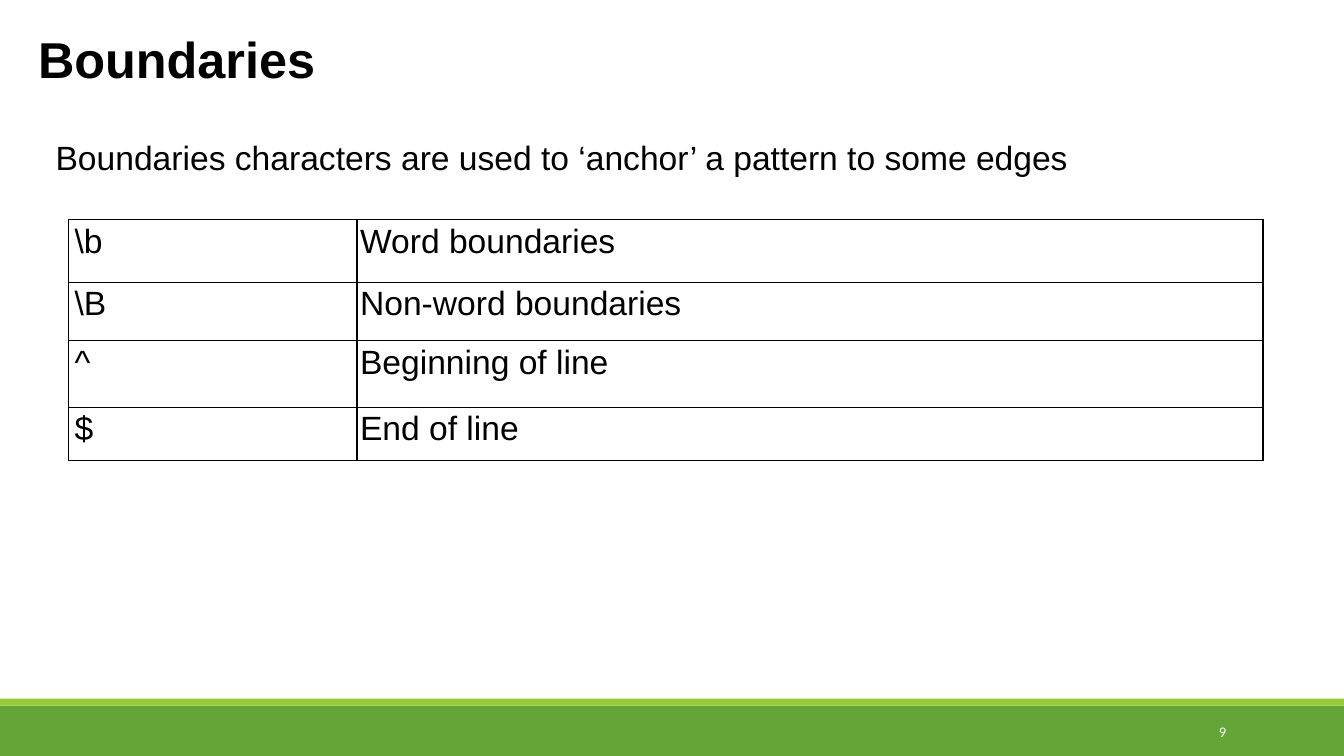
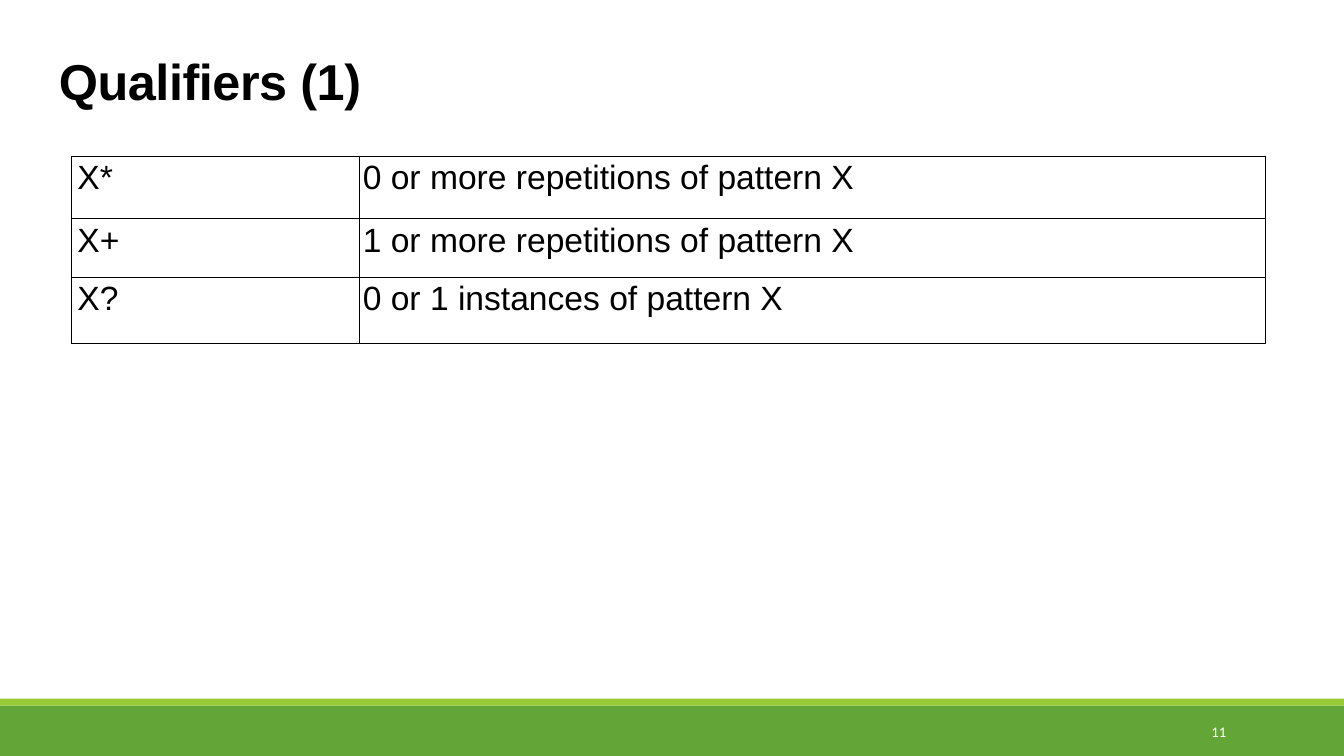
from dataclasses import dataclass

from lxml.etree import SubElement
from pptx import Presentation
from pptx.dml.color import RGBColor
from pptx.enum.shapes import MSO_SHAPE
from pptx.enum.text import MSO_ANCHOR, MSO_AUTO_SIZE, PP_ALIGN
from pptx.oxml.ns import qn
from pptx.util import Pt

COLORS = {"text": "000000", "footer": "63A537", "accent": "99CB38", "number": "FFFFFF"}
PAGE_WIDTH, PAGE_HEIGHT = 960, 540
COLUMN_WIDTHS = (206, 647.2)
ROW_HEIGHTS = (44.6, 41.8, 47.5, 38.2)
CELL_MARGIN = 2.2
FIRST_CELL_MARGIN = 4.3


@dataclass(frozen=True)
class Frame:
    left: float
    top: float
    width: float
    height: float

    def lengths(self) -> tuple:
        return Pt(self.left), Pt(self.top), Pt(self.width), Pt(self.height)


@dataclass(frozen=True)
class Style:
    size: float
    font: str = "Arial"
    color: str = "text"
    bold: bool = False
    tracking: int = 0


@dataclass(frozen=True)
class Band:
    frame: Frame
    color: str


@dataclass(frozen=True)
class Block:
    text: str
    frame: Frame
    style: Style
    margins: tuple[float, float, float, float]


@dataclass(frozen=True)
class Page:
    number: str
    title: Block
    table_left: float
    table_top: float
    rows: tuple[tuple[str, str], ...]
    body: Block | None = None


TITLE = Style(36, bold=True)
TIGHT_TITLE = Style(36, bold=True, tracking=-30)
TEXT = Style(24)
NUMBER = Style(10.5, "Calibri", "number")
NUMBER_FRAME = Frame(780, 508.3, 103, 28.8)
TITLE_ONLY, TITLE_AND_BODY = 5, 1

BANDS = (
    Band(Frame(0, 504, PAGE_WIDTH, 36), "footer"),
    Band(Frame(0, 499, PAGE_WIDTH, 5), "accent"),
)

PAGES = (
    Page(
        "9",
        Block("Boundaries", Frame(20, 13, 911, 51), TITLE, (7.2, 7.2, 7.2, 3.6)),
        49,
        157,
        (
            ("\\b", "Word boundaries"),
            ("\\B", "Non-word boundaries"),
            ("^", "Beginning of line"),
            ("$", "End of line"),
        ),
        Block(
            "Boundaries characters are used to ‘anchor’ a pattern to some edges",
            Frame(32.5, 92, 911, 36),
            TEXT,
            (7.2, 6, 7.2, 3.6),
        ),
    ),
    Page(
        "11",
        Block("Qualifiers (1)", Frame(42, 32.4, 885.6, 44), TIGHT_TITLE, (0, 3.6, 0, 0)),
        51,
        111.6,
        (
            ("X*", "0 or more repetitions of pattern X"),
            ("X+", "1 or more repetitions of pattern X"),
            ("X?", "0 or 1 instances of pattern X"),
        ),
    ),
)


def rgb(name: str) -> RGBColor:
    return RGBColor.from_string(COLORS[name])


def write(para, text: str, style: Style, align=PP_ALIGN.LEFT) -> None:
    para.alignment = align
    para.space_before = Pt(0)
    span = para.add_run()
    span.text = text
    span.font.size = Pt(style.size)
    span.font.name = style.font
    span.font.bold = style.bold
    span.font.color.rgb = rgb(style.color)
    if style.tracking:
        span.font._element.set("spc", str(style.tracking))


def fill_placeholder(box, block: Block) -> None:
    box.left, box.top, box.width, box.height = block.frame.lengths()
    frame = box.text_frame
    frame.word_wrap = True
    frame.auto_size = MSO_AUTO_SIZE.NONE
    frame.vertical_anchor = MSO_ANCHOR.TOP
    left, top, right, bottom = block.margins
    frame.margin_left, frame.margin_top = Pt(left), Pt(top)
    frame.margin_right, frame.margin_bottom = Pt(right), Pt(bottom)
    para = frame.paragraphs[0]
    write(para, block.text, block.style)
    properties = para._p.get_or_add_pPr()
    properties.set("marL", "0")
    properties.set("indent", "0")
    SubElement(properties, qn("a:buNone"))


def add_number(slide, number: str) -> None:
    box = slide.shapes.add_textbox(*NUMBER_FRAME.lengths())
    box.text_frame.word_wrap = True
    box.text_frame.vertical_anchor = MSO_ANCHOR.MIDDLE
    write(box.text_frame.paragraphs[0], number, NUMBER, PP_ALIGN.RIGHT)


def format_cell(cell, text: str, left_margin: float) -> None:
    cell.margin_left = Pt(left_margin)
    cell.margin_top = cell.margin_right = cell.margin_bottom = Pt(CELL_MARGIN)
    properties = cell._tc.get_or_add_tcPr()
    for side in ("lnL", "lnR", "lnT", "lnB"):
        line = SubElement(properties, qn(f"a:{side}"), w=str(Pt(1)))
        solid = SubElement(line, qn("a:solidFill"))
        SubElement(solid, qn("a:srgbClr"), val=COLORS["text"])
    cell.fill.background()
    write(cell.text_frame.paragraphs[0], text, TEXT)


def add_pattern_table(slide, page: Page) -> None:
    heights = ROW_HEIGHTS[: len(page.rows)]
    frame = Frame(page.table_left, page.table_top, sum(COLUMN_WIDTHS), sum(heights))
    table = slide.shapes.add_table(
        len(page.rows), len(COLUMN_WIDTHS), *frame.lengths()
    ).table
    table.first_row = table.horz_banding = False
    for column, width in zip(table.columns, COLUMN_WIDTHS):
        column.width = Pt(width)
    for row, height, texts in zip(table.rows, heights, page.rows):
        row.height = Pt(height)
        for cell, text, margin in zip(row.cells, texts, (FIRST_CELL_MARGIN, CELL_MARGIN)):
            format_cell(cell, text, margin)


def move_bands_to_master(deck, slide) -> None:
    tree = deck.slide_master.shapes.element
    for index, band in enumerate(BANDS):
        shape = slide.shapes.add_shape(MSO_SHAPE.RECTANGLE, *band.frame.lengths())
        shape.shadow.inherit = False
        shape.fill.solid()
        shape.fill.fore_color.rgb = rgb(band.color)
        shape.line.fill.background()
        shape.element.nvSpPr.cNvPr.set("id", str(100 + index))
        tree.insert(2 + index, shape.element)


def add_page(deck, page: Page):
    layout = TITLE_AND_BODY if page.body else TITLE_ONLY
    slide = deck.slides.add_slide(deck.slide_layouts[layout])
    fill_placeholder(slide.shapes.title, page.title)
    if page.body:
        fill_placeholder(slide.placeholders[1], page.body)
    add_number(slide, page.number)
    add_pattern_table(slide, page)
    return slide


def main() -> None:
    deck = Presentation()
    deck.slide_width, deck.slide_height = Pt(PAGE_WIDTH), Pt(PAGE_HEIGHT)
    slides = [add_page(deck, page) for page in PAGES]
    move_bands_to_master(deck, slides[0])
    deck.save("out.pptx")


if __name__ == "__main__":
    main()
